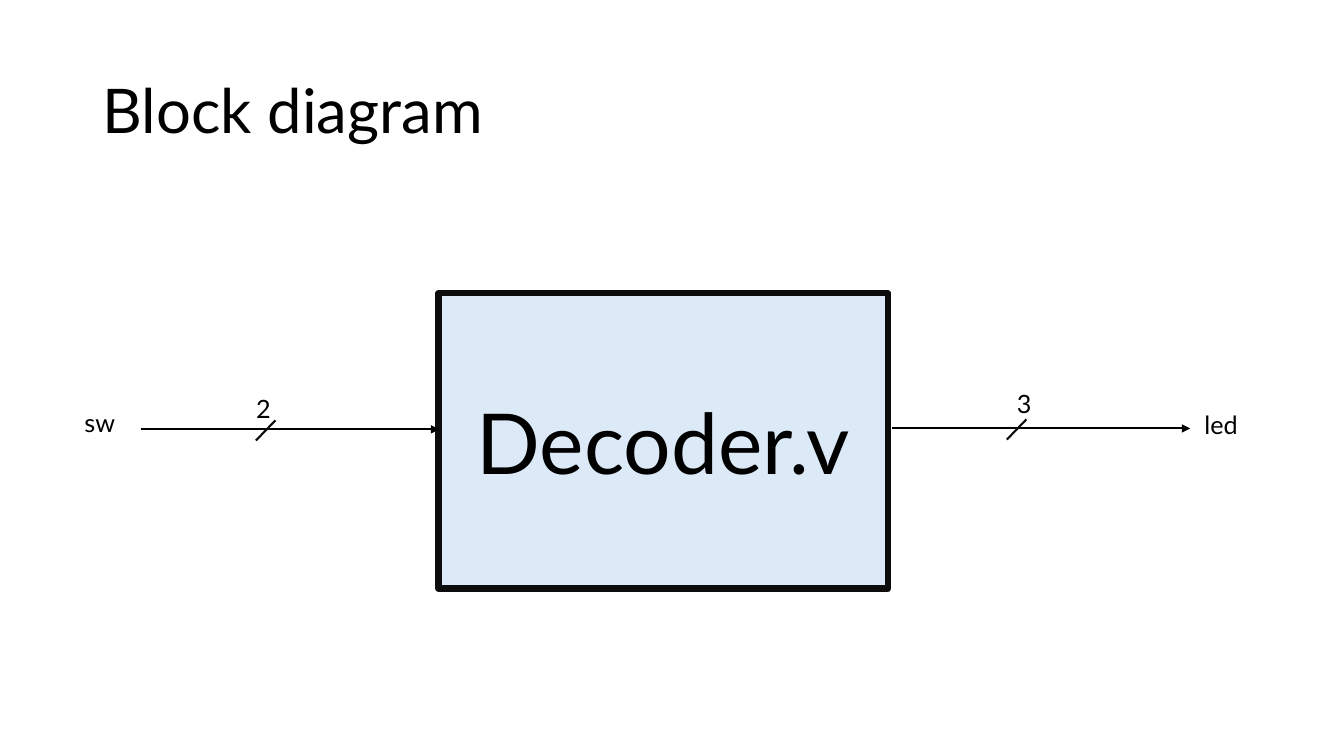
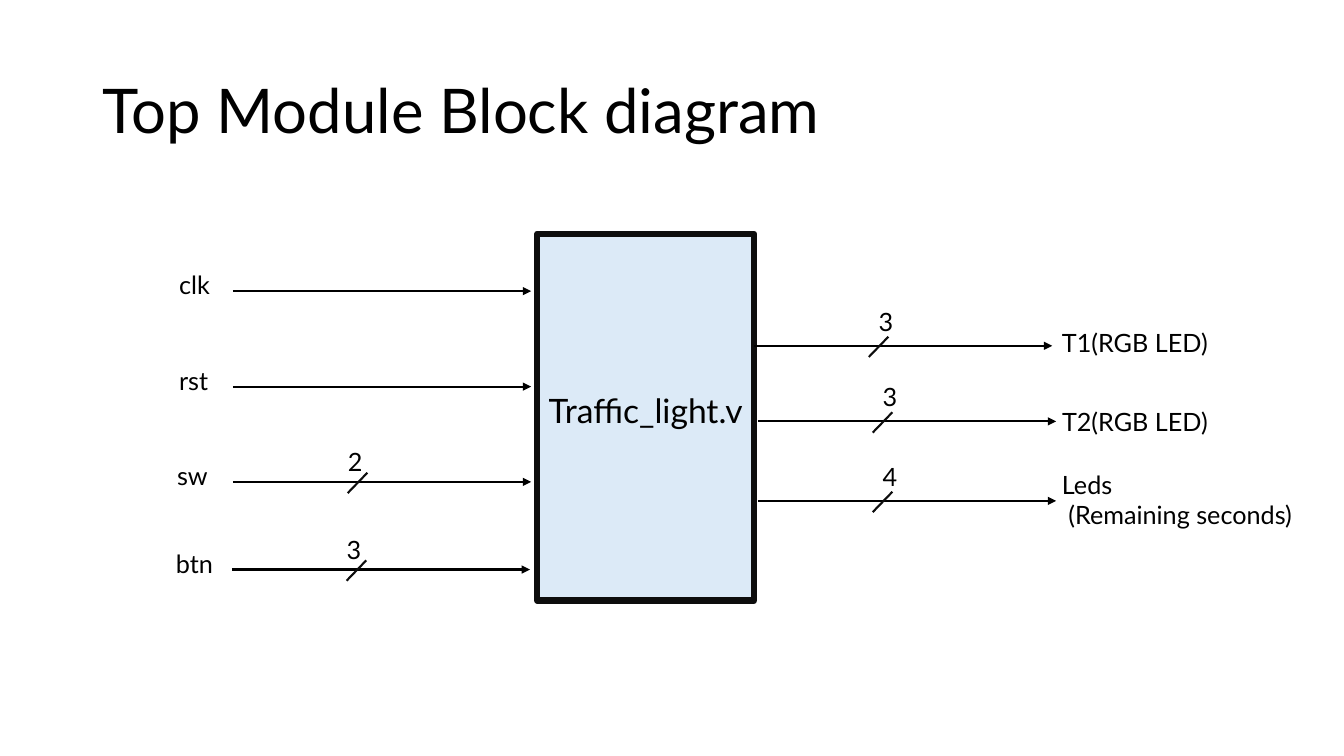
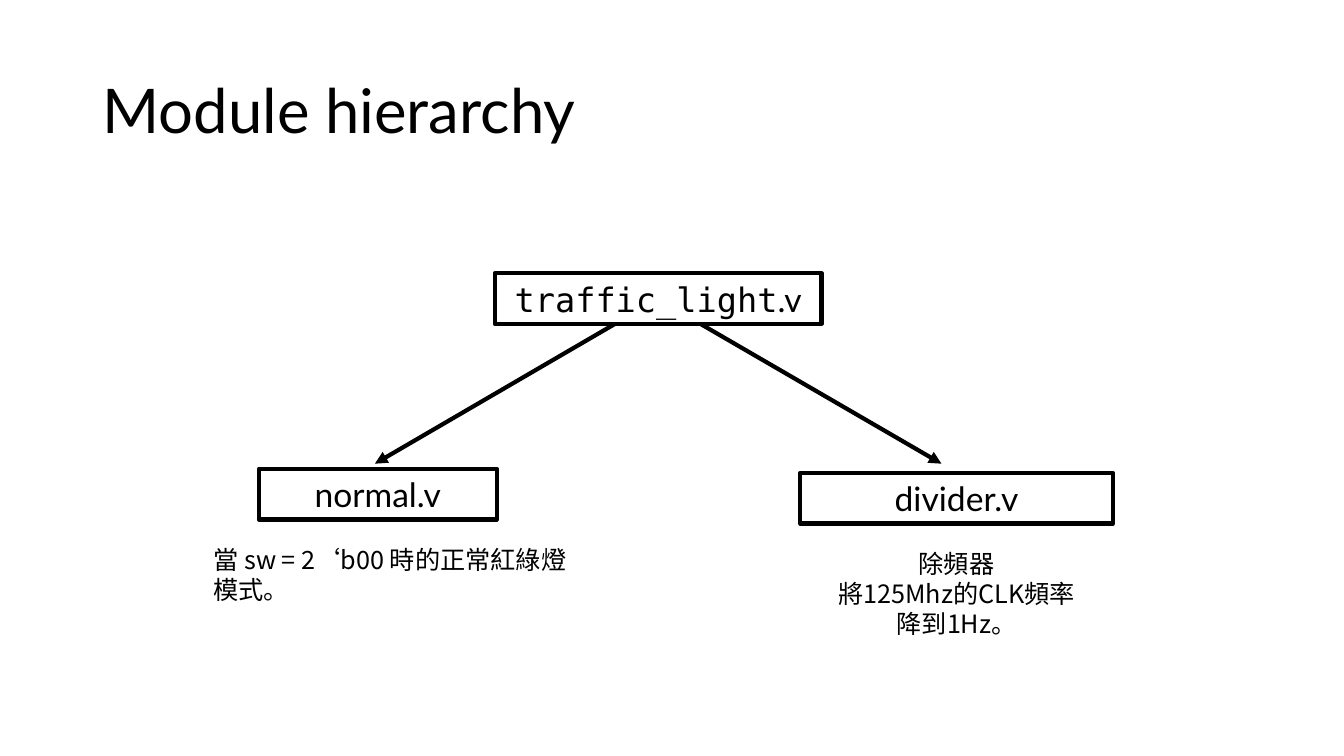
from lxml import etree
from pptx import Presentation
from pptx.dml.color import RGBColor
from pptx.enum import shapes, text
from pptx.oxml import ns
from pptx.util import Pt

BLACK = RGBColor(0x00, 0x00, 0x00)
NEAR_BLACK = RGBColor(0x0D, 0x0D, 0x0D)
PALE_BLUE = RGBColor(0xDC, 0xEA, 0xF7)
LATO, MONO, CJK = "Lato", "DejaVu Sans Mono", "Noto Sans CJK SC"
LEFT, CENTER = text.PP_ALIGN.LEFT, text.PP_ALIGN.CENTER
WIRE = 213      # length of a signal wire
SLASH = 82      # distance from the wire's start to its bus slash


def add_run(p, words, size, font=LATO):
    r = p.add_run()
    r.text = words
    r.font.name, r.font.size = font, Pt(size)
    r.font.color.rgb = BLACK
    if font == CJK:
        ea = etree.SubElement(r.font._element, ns.qn("a:ea"))
        ea.set("typeface", font)


def add_titled_slide(prs, title):
    s = prs.slides.add_slide(prs.slide_layouts[5])
    sp = s.shapes.title
    sp.left, sp.top, sp.width, sp.height = Pt(66), Pt(28.75), Pt(828), Pt(104.4)
    tf = sp.text_frame
    tf.vertical_anchor = text.MSO_ANCHOR.MIDDLE
    p = tf.paragraphs[0]
    p.alignment, p.line_spacing = LEFT, 0.9
    add_run(p, title, 44)
    return s


def add_text(s, x, y, w, h, lines, font=LATO, align=LEFT):
    tf = s.shapes.add_textbox(Pt(x), Pt(y), Pt(w), Pt(h)).text_frame
    tf.word_wrap = True
    for i, line in enumerate(lines):
        p = tf.add_paragraph() if i else tf.paragraphs[0]
        p.alignment = align
        add_run(p, line, 18, font)


def add_box(s, x, y, w, h, runs, size, weight=3, line=BLACK, fill=None, lift=0):
    """Draw a labelled box; lift raises the label above the middle."""
    sp = s.shapes.add_shape(shapes.MSO_SHAPE.RECTANGLE, Pt(x), Pt(y), Pt(w), Pt(h))
    sp.shadow.inherit = False
    if fill is None:
        sp.fill.background()
    else:
        sp.fill.solid()
        sp.fill.fore_color.rgb = fill
    sp.line.color.rgb, sp.line.width = line, Pt(weight)
    tf = sp.text_frame
    tf.word_wrap = True
    tf.vertical_anchor = text.MSO_ANCHOR.MIDDLE
    tf.margin_bottom = Pt(3.6 + 2 * lift)
    p = tf.paragraphs[0]
    p.alignment = CENTER
    for words, font in runs:
        add_run(p, words, size, font)


def add_module(s, x, y, w, h, name, size, lift=0):
    add_box(s, x, y, w, h, [(name, LATO)], size, 4.5, NEAR_BLACK, PALE_BLUE, lift)


def add_line(s, x1, y1, x2, y2, weight=1.5, color=BLACK, arrow=True):
    c = s.shapes.add_connector(
        shapes.MSO_CONNECTOR.STRAIGHT, Pt(x1), Pt(y1), Pt(x2), Pt(y2))
    c.line.color.rgb, c.line.width = color, Pt(weight)
    if arrow:
        tail = etree.SubElement(c.line._get_or_add_ln(), ns.qn("a:tailEnd"))
        tail.set("type", "triangle")
    etree.SubElement(c._element.spPr, ns.qn("a:effectLst"))


def add_wire(s, x, y, bits, bits_dx, bits_dy):
    """Draw a signal arrow, with a slash and a bit count on a bus."""
    add_line(s, x, y, x + WIRE, y)
    if bits:
        add_line(s, x + SLASH, y + 8, x + SLASH + 14, y - 6.5,
                 color=NEAR_BLACK, arrow=False)
        add_text(s, x + bits_dx, y + bits_dy, 93.6, 29, [bits])


def add_input(s, name, x, y, bits=None, name_dx=-46.5):
    add_wire(s, x, y, bits, 75, -29)
    add_text(s, x + name_dx, y - 19, 93.6, 29, [name])


def add_output(s, lines, x, y, bits, name_x, name_dy, name_w):
    add_wire(s, x, y, bits, SLASH, -32)
    add_text(s, name_x, y + name_dy, name_w, 29 * len(lines), lines)


def decoder_slide(prs):
    s = add_titled_slide(prs, "Block diagram")
    add_module(s, 313.2, 209.5, 321.1, 211, "Decoder.v", 60)
    add_input(s, "sw", 100.8, 306.7, "2", -47.5)
    add_output(s, ["led"], 637.2, 306, "3", 853.2, -17, 93.6)


def top_module_slide(prs):
    s = add_titled_slide(prs, "Top Module Block diagram")
    add_module(s, 383.8, 167, 154.8, 262.1, "Traffic_light.v", 24, lift=5)
    for name, x, y, bits, name_dx in (
            ("clk", 166.4, 208, None, -45.5),
            ("rst", 166.4, 276.2, None, -45.5),
            ("sw", 166.4, 344.2, "2", -47),
            ("btn", 165.6, 406.8, "3", -47)):
        add_input(s, name, x, y, bits, name_dx)
    for lines, x, y, bits, name_dy, name_w in (
            (["T1(RGB LED)"], 538.6, 247, "3", -16.5, 161.3),
            (["T2(RGB LED)"], 541.4, 301, "3", -14.5, 123.1),
            (["Leds", " (Remaining seconds)"], 541.4, 357.8, "4", -26, 208)):
        add_output(s, lines, x, y, bits, 751.5, name_dy, name_w)


def hierarchy_slide(prs):
    s = add_titled_slide(prs, "Module hierarchy")
    for x, y, w, runs in (
            (353.5, 195.1, 233.3, [("traffic_light", MONO), (".v", LATO)]),
            (571.7, 337.7, 223.2, [("divider.v", LATO)]),
            (185, 334.8, 169.9, [("normal.v", LATO)])):
        add_box(s, x, y, w, 36.3, runs, 24)
    add_line(s, 439.2, 231.4, 267.8, 331.2, 3)
    add_line(s, 500.4, 231.4, 672.5, 331.2, 3)
    add_text(s, 571.7, 388.1, 223.2, 72.7,
             ["除頻器", "將125Mhz的CLK頻率", "降到1Hz。"], CJK, CENTER)
    add_text(s, 145.4, 385.2, 280.1, 51,
             ["當 sw = 2‘b00 時的正常紅綠燈模式。"], CJK)


def main():
    prs = Presentation()
    prs.slide_width, prs.slide_height = Pt(960), Pt(540)
    decoder_slide(prs)
    top_module_slide(prs)
    hierarchy_slide(prs)
    prs.save("out.pptx")


if __name__ == "__main__":
    main()
